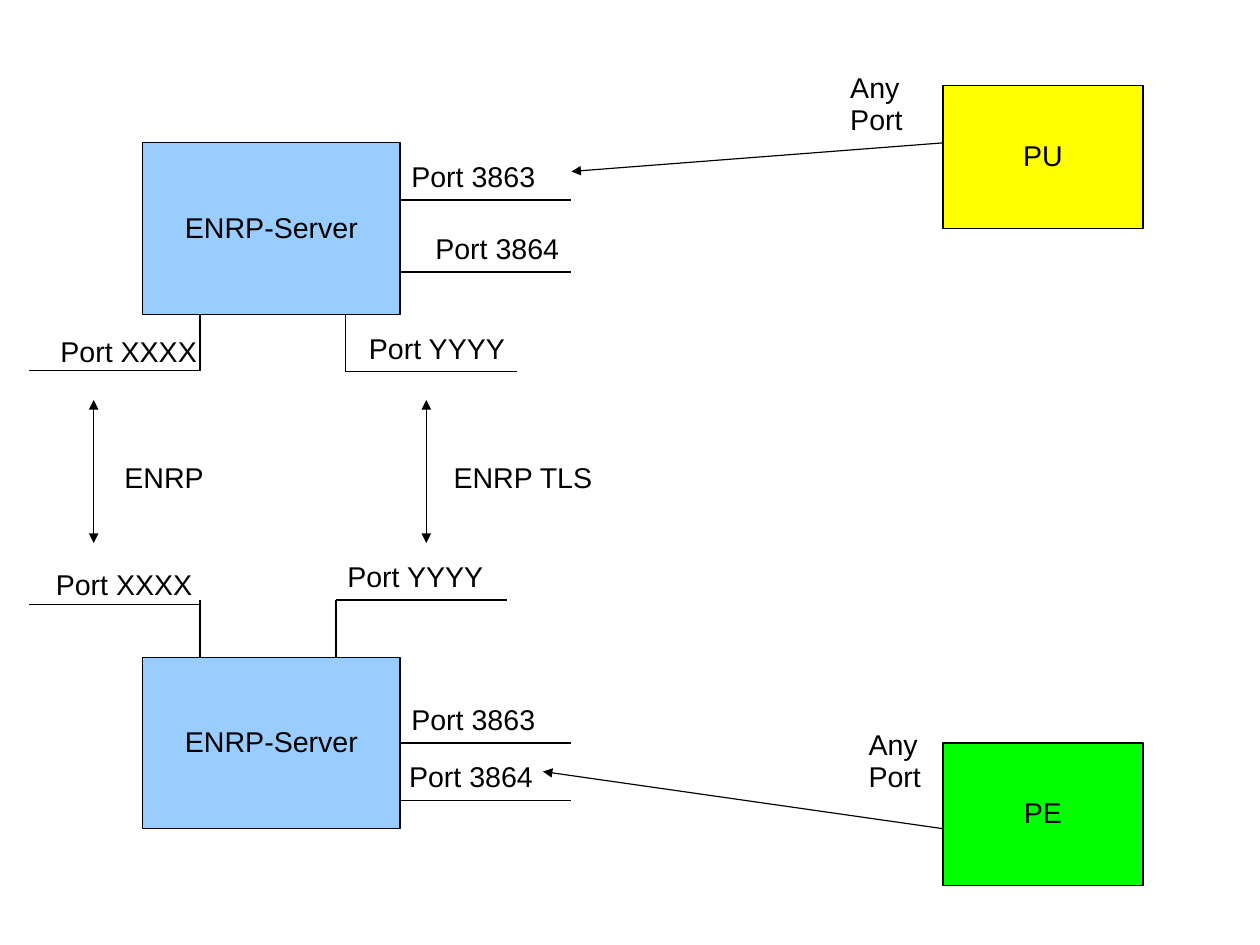
from pptx import Presentation
from pptx import util as u
from pptx.dml.color import RGBColor
from pptx.enum import shapes, text
from pptx.oxml.ns import qn
from lxml import etree

COLORS = {"server": "99CCFF", "user": "FFFF00", "element": "00FF00", "ink": "000000"}
CM_PER_INCH = 2.54


def write(tf, content, font="Arial", size=18, color="ink", align=None, spacing=0.93):
    """Fill a text frame, one paragraph per line of content."""
    for i, line in enumerate(content.split("\n")):
        p = tf.paragraphs[0] if i == 0 else tf.add_paragraph()
        p.line_spacing = spacing
        p.alignment = align
        r = p.add_run()
        r.text = line
        r.font.name = font
        r.font.size = u.Pt(size)
        r.font.color.rgb = RGBColor.from_string(COLORS[color])


class Diagram:
    def __init__(self, slide, line_width=0.75):
        self.slide = slide
        self.line_width = u.Pt(line_width)

    def outline(self, sp):
        sp.line.color.rgb = RGBColor.from_string(COLORS["ink"])
        sp.line.width = self.line_width

    def node(self, label, x, y, w, h, fill):
        sp = self.slide.shapes.add_shape(
            shapes.MSO_SHAPE.ROUNDED_RECTANGLE, *map(u.Inches, (x, y, w, h)))
        sp.adjustments[0] = 0
        sp.shadow.inherit = False
        sp.fill.solid()
        sp.fill.fore_color.rgb = RGBColor.from_string(COLORS[fill])
        self.outline(sp)
        tf = sp.text_frame
        tf.vertical_anchor = text.MSO_ANCHOR.MIDDLE
        write(tf, label, align=text.PP_ALIGN.CENTER)

    def label(self, content, x, y, w, h=0.38):
        sp = self.slide.shapes.add_textbox(*map(u.Inches, (x, y, w, h)))
        tf = sp.text_frame
        tf.word_wrap = False
        tf.auto_size = text.MSO_AUTO_SIZE.SHAPE_TO_FIT_TEXT
        write(tf, content, align=text.PP_ALIGN.LEFT)

    def line(self, x1, y1, x2, y2, arrows=()):
        sp = self.slide.shapes.add_connector(
            shapes.MSO_CONNECTOR.STRAIGHT, *map(u.Inches, (x1, y1, x2, y2)))
        self.outline(sp)
        ln = sp.line._get_or_add_ln()
        for end in arrows:
            etree.SubElement(ln, qn(f"a:{end}End"), type="triangle")
        etree.SubElement(sp._element.spPr, qn("a:effectLst"))


def main():
    # A slide of 28 by 21 cm
    prs = Presentation()
    prs.slide_width = u.Inches(28 / CM_PER_INCH)
    prs.slide_height = u.Inches(21 / CM_PER_INCH)
    d = Diagram(prs.slides.add_slide(prs.slide_layouts[6]))

    # Servers, pool user and pool element
    for y in (1.25, 5.75):
        d.node("ENRP-Server", 1.25, y, 2.25, 1.5, "server")
    d.node("PU", 8.25, 0.75, 1.75, 1.25, "user")
    d.node("PE", 8.25, 6.5, 1.75, 1.25, "element")

    # Ports on the right of the servers
    for y in (1.75, 2.38, 6.5, 7):
        d.line(3.5, y, 5, y)
    for port, x, y in (("3863", 3.5, 1.37), ("3864", 3.71, 2),
                       ("3863", 3.5, 6.12), ("3864", 3.48, 6.62)):
        d.label(f"Port {port}", x, y, 1.32)

    # Ports between the servers: stem from the server, then a shelf
    for stem_x, shelf_x, top, shelf_y in ((1.75, 0.25, 2.75, 3.24), (3.02, 3.02, 2.75, 3.25),
                                          (1.75, 0.25, 5.25, 5.29), (2.94, 2.94, 5.25, 5.25)):
        d.line(stem_x, top, stem_x, top + 0.5)
        d.line(shelf_x, shelf_y, shelf_x + 1.5, shelf_y)
    for port, x, y in (("XXXX", 0.43, 2.9), ("YYYY", 3.13, 2.87),
                       ("XXXX", 0.39, 4.94), ("YYYY", 2.94, 4.87)):
        d.label(f"Port {port}", x, y, 1.43)

    # Protocols between the servers
    for protocol, arrow_x, x, w in (("ENRP", 0.82, 0.99, 0.93), ("ENRP TLS", 3.73, 3.87, 1.46)):
        d.line(arrow_x, 3.5, arrow_x, 4.75, arrows=("head", "tail"))
        d.label(protocol, x, 4, w)

    # Connections from PU and PE
    d.line(8.25, 1.25, 5, 1.5, arrows=("tail",))
    d.line(8.25, 7.25, 4.75, 6.75, arrows=("tail",))
    for x, y in ((7.34, 0.59), (7.5, 6.34)):
        d.label("Any\nPort", x, y, 0.69, 0.66)

    prs.save("out.pptx")


if __name__ == "__main__":
    main()
